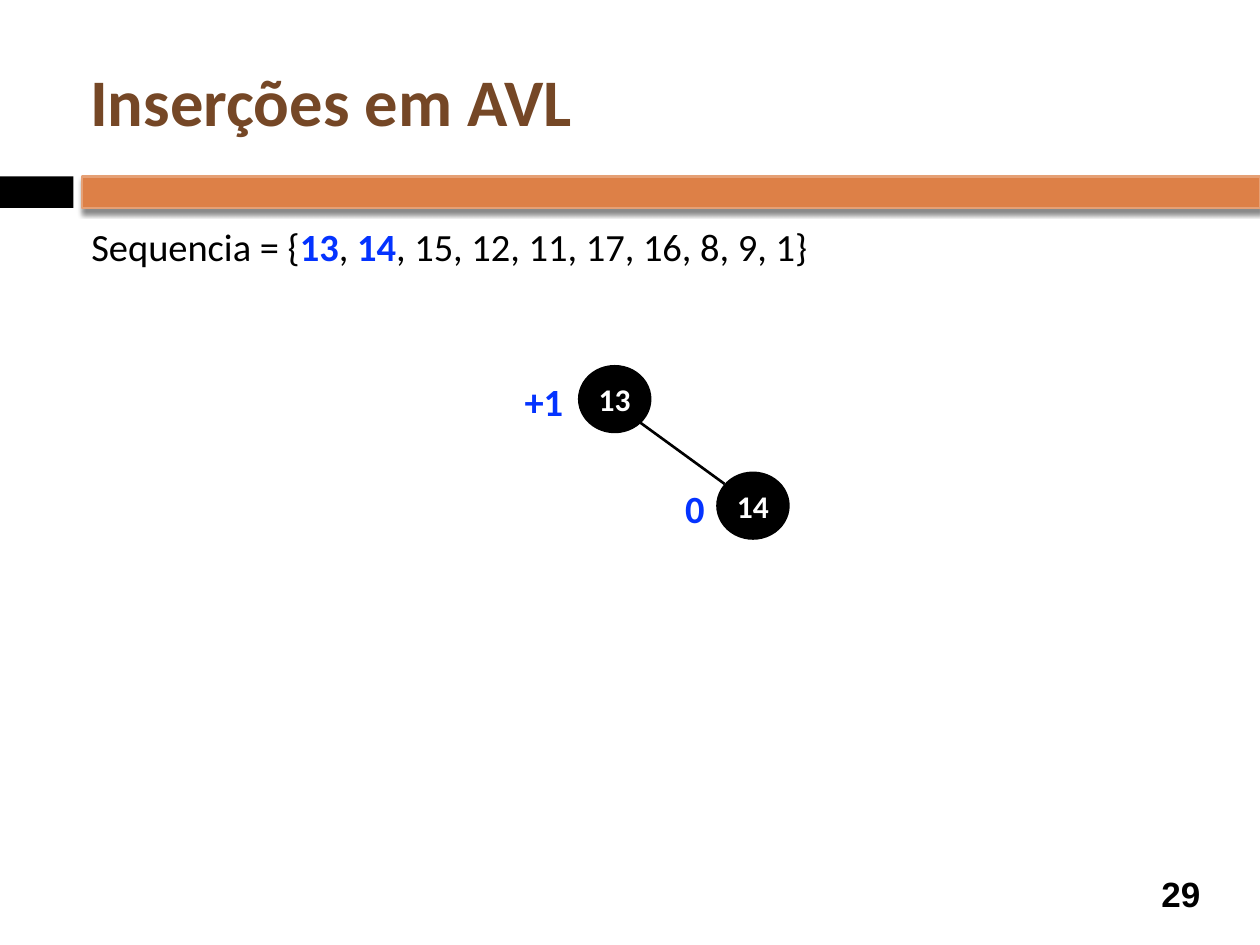
from dataclasses import dataclass

from lxml.etree import SubElement
from pptx import Presentation
from pptx.dml.color import RGBColor as RGB
from pptx.enum.shapes import MSO_CONNECTOR as LINE, MSO_SHAPE as SHAPE
from pptx.enum.text import MSO_ANCHOR as ANCHOR, MSO_AUTO_SIZE as FIT, PP_ALIGN as ALIGN
from pptx.oxml.ns import qn
from pptx.util import Pt


@dataclass(frozen=True)
class Theme:
    black: RGB = RGB(0, 0, 0)
    white: RGB = RGB(255, 255, 255)
    blue: RGB = RGB.from_string("0433FF")
    brown: RGB = RGB.from_string("754726")
    bar: RGB = RGB.from_string("DD8047")
    edge: RGB = RGB.from_string("E5A075")
    body: str = "Calibri"
    digit: str = "Arial"
    title: int = 38
    text: int = 22
    node: int = 18
    page: int = 20
    stroke: float = 1.5


THEME = Theme()
NODE_W, NODE_H = 40.5, 37.5


def style(run, size, color, bold=True, face=THEME.body):
    font = run.font
    font.name, font.size, font.bold = face, Pt(size), bold
    font.color.rgb = color


def frame(shape, anchor=ANCHOR.MIDDLE, wrap=True):
    """Set margins and fitting, and return the text frame."""
    body = shape.text_frame
    body.margin_left = body.margin_right = Pt(3.6)
    body.margin_top = body.margin_bottom = Pt(3.6)
    body.vertical_anchor, body.word_wrap = anchor, wrap
    body.auto_size = FIT.NONE
    return body


def write(shape, parts, size, align=ALIGN.CENTER, face=THEME.body, **fit):
    """Fill a shape with (text, colour, bold) parts."""
    para = frame(shape, **fit).paragraphs[0]
    para.alignment = align
    for text, color, bold in parts:
        run = para.add_run()
        run.text = text
        style(run, size, color, bold, face)


def label(slide, x, y, w, h, parts, size=THEME.text, **look):
    box = slide.shapes.add_textbox(Pt(x), Pt(y), Pt(w), Pt(h))
    write(box, parts, size, **look)


def solid(slide, kind, x, y, w, h, fill, edge=None):
    shape = slide.shapes.add_shape(kind, Pt(x), Pt(y), Pt(w), Pt(h))
    shape.shadow.inherit = False
    shape.fill.solid()
    shape.fill.fore_color.rgb = fill
    if edge is None:
        shape.line.fill.background()
    else:
        shape.line.color.rgb = edge
        shape.line.width = Pt(THEME.stroke)
    return shape


def shade(shape):
    """Add a soft shadow straight below the shape."""
    effects = shape._element.spPr.find(qn("a:effectLst"))
    outer = SubElement(effects, qn("a:outerShdw"), blurRad=str(Pt(3)),
                       dist=str(Pt(2.4)), dir="5400000", rotWithShape="0")
    color = SubElement(outer, qn("a:srgbClr"), val=str(THEME.black))
    SubElement(color, qn("a:alpha"), val="45000")


def header(slide, text):
    title = slide.shapes.title
    title.left, title.top = Pt(48), Pt(18)
    title.width, title.height = Pt(642), Pt(78)
    body = frame(title)
    body.text = text
    para = body.paragraphs[0]
    para.alignment, para.line_spacing = ALIGN.LEFT, 1.0
    style(para.runs[0], THEME.title, THEME.brown)
    solid(slide, SHAPE.RECTANGLE, 0, 100.8, 42, 18, THEME.black)
    shade(solid(slide, SHAPE.RECTANGLE, 46.8, 100.8, 673.2, 18, THEME.bar, THEME.edge))


def branch(slide, x1, y1, x2, y2):
    line = slide.shapes.add_connector(LINE.STRAIGHT, Pt(x1), Pt(y1), Pt(x2), Pt(y2))
    line.line.color.rgb = THEME.black
    line.line.width = Pt(THEME.stroke)
    SubElement(line._element.spPr, qn("a:effectLst"))


def node(slide, key, x, y, factor, gap, width):
    """Draw a tree node with its balance factor to the left."""
    oval = solid(slide, SHAPE.OVAL, x, y, NODE_W, NODE_H, THEME.black, THEME.black)
    write(oval, [(key, THEME.white, True)], THEME.node, wrap=False)
    label(slide, x - gap - width, y + 3.3, width, 31, [(factor, THEME.blue, True)],
          anchor=ANCHOR.TOP, wrap=False)


def main():
    deck = Presentation()
    deck.slide_width, deck.slide_height = Pt(720), Pt(540)
    slide = deck.slides.add_slide(deck.slide_layouts[5])
    header(slide, "Inserções em AVL")

    plain, done = (THEME.black, False), (THEME.blue, True)
    label(slide, 48.6, 123.9, 442, 31,
          [("Sequencia = {", *plain), ("13", *done), (", ", *plain), ("14", *done),
           (", 15, 12, 11, 17, 16, 8, 9, 1}", *plain)],
          align=ALIGN.LEFT, anchor=ANCHOR.TOP, wrap=False)

    branch(slide, 348, 228.5, 414, 276.5)
    node(slide, "13", 331, 209.3, "+1", 3, 34.5)
    node(slide, "14", 410, 270.2, "0", 3, 20)
    label(slide, 653.8, 496, 41.8, 29.5, [("29", THEME.black, True)], THEME.page,
          face=THEME.digit)
    deck.save("out.pptx")


if __name__ == "__main__":
    main()
